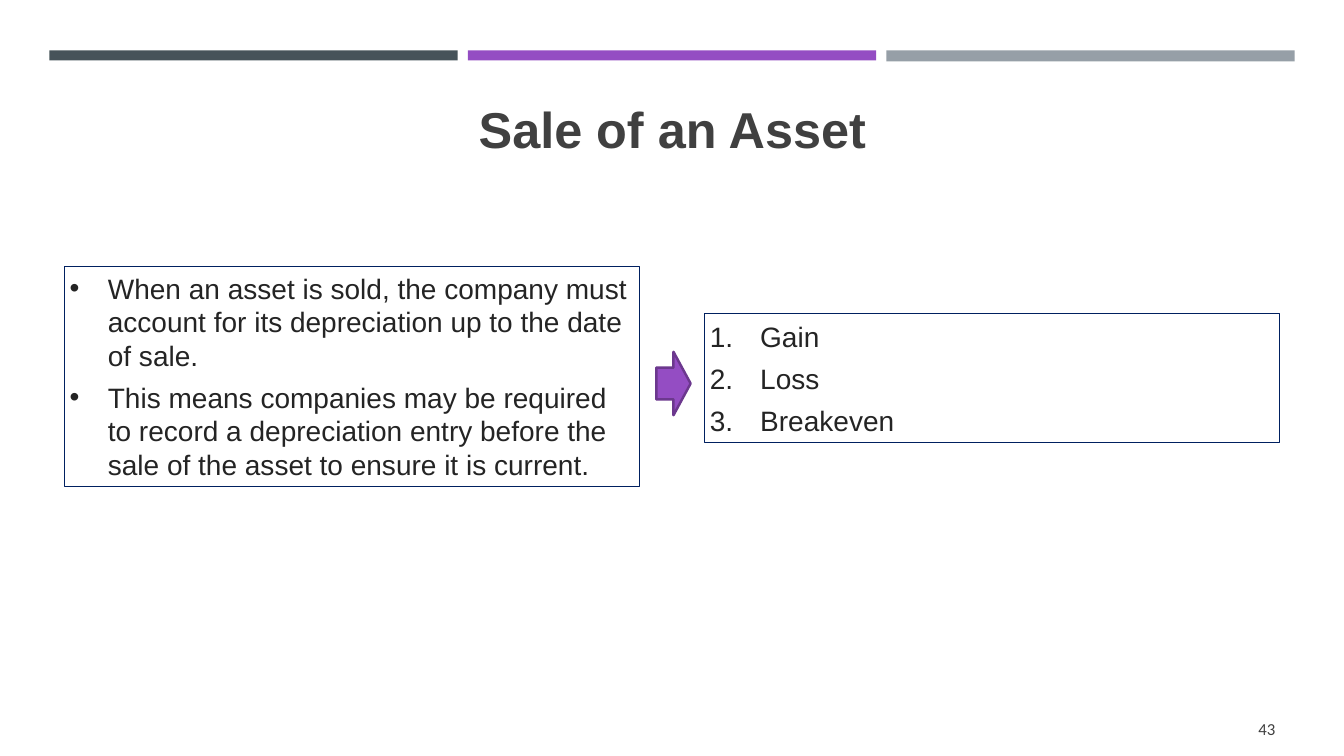
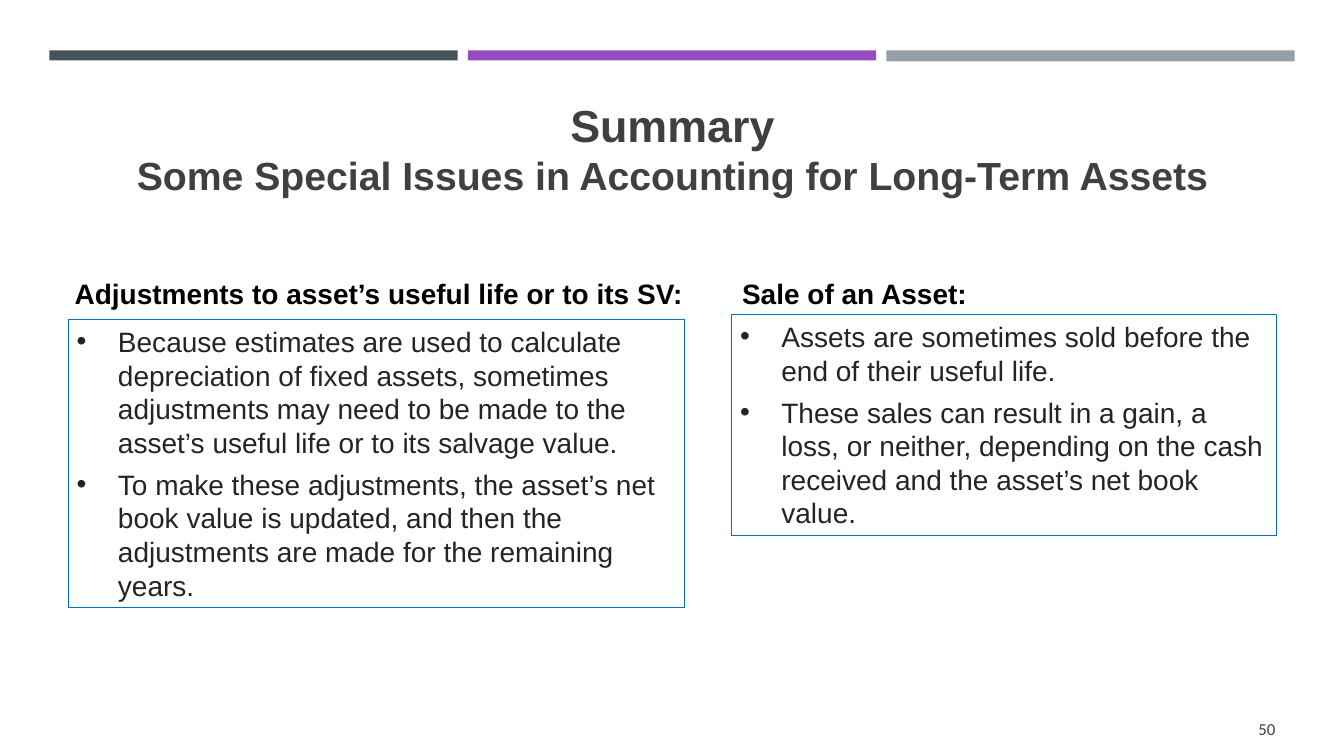
from lxml import etree
from pptx import Presentation
from pptx.dml.color import RGBColor
from pptx.enum import shapes, text
from pptx.oxml.ns import qn
from pptx.util import Pt

PX = 9144
SLATE = RGBColor(0x46, 0x53, 0x59)
PURPLE = RGBColor(0x94, 0x4D, 0xC3)
PLUM = RGBColor(0x6C, 0x38, 0x8E)
GREY = RGBColor(0x96, 0x9F, 0xA7)
TITLE_INK = RGBColor(0x40, 0x40, 0x40)
BODY_INK = RGBColor(0x24, 0x24, 0x24)
BLACK = RGBColor(0, 0, 0)
NAVY = RGBColor(0x00, 0x20, 0x60)
BLUE = RGBColor(0x00, 0x70, 0xC0)
BODY_SIZE = 20
INSET = 5
LINE_SPACING = 1.0
BULLET = ("buChar", "char", "•")
NUMBER = ("buAutoNum", "type", "arabicPeriod")


def emu(box):
    """Turn a box in px into EMU."""
    return [length * PX for length in box]


def add_block(page, box, kind=shapes.MSO_SHAPE.RECTANGLE, fill=None, line=None, weight=0.75):
    """Add a preset shape with the given fill and outline."""
    block = page.shapes.add_shape(kind, *emu(box))
    block.shadow.inherit = False
    if fill is None:
        block.fill.background()
    else:
        block.fill.solid()
        block.fill.fore_color.rgb = fill
    if line is None:
        block.line.fill.background()
    else:
        block.line.color.rgb = line
        block.line.width = Pt(weight)
    return block


def set_frame(shape, anchor=text.MSO_ANCHOR.TOP, wrap=True):
    """Give a shape's text frame the shared insets."""
    frame = shape.text_frame
    frame.margin_left = frame.margin_right = INSET * PX
    frame.margin_top = frame.margin_bottom = INSET * PX
    frame.vertical_anchor = anchor
    frame.word_wrap = wrap
    return frame


def format_runs(para, sizes, color, bold=False, font="Arial", align=text.PP_ALIGN.LEFT):
    """Format each run of a paragraph with its own size."""
    para.alignment = align
    para.line_spacing = LINE_SPACING
    for span, size in zip(para.runs, sizes):
        span.font.name = font
        span.font.size = Pt(size)
        span.font.bold = bold
        span.font.color.rgb = color


def add_label(page, box, words, sizes, color, anchor=text.MSO_ANCHOR.TOP, wrap=False, **style):
    """Add a text box holding one paragraph."""
    frame = set_frame(page.shapes.add_textbox(*emu(box)), anchor, wrap)
    para = frame.paragraphs[0]
    para.text = words
    format_runs(para, sizes, color, **style)


def add_list(page, box, items, line, marker, margin, hang, anchor=text.MSO_ANCHOR.TOP):
    """Add an outlined box with a bulleted or numbered list."""
    frame = set_frame(add_block(page, box, line=line), anchor)
    frame.text = "\n".join(items)
    tag, key, value = marker
    for para in frame.paragraphs:
        format_runs(para, [BODY_SIZE], BODY_INK)
        para.space_before = Pt(6)
        props = para._p.get_or_add_pPr()
        props.set("marL", str(margin * PX))
        props.set("indent", str(-hang * PX))
        etree.SubElement(props, qn("a:buFont")).set("typeface", "Arial")
        etree.SubElement(props, qn("a:" + tag)).set(key, value)


def add_page(deck, title, sizes, top, number):
    """Add a slide with the bands, title and page number."""
    page = deck.slides.add_slide(deck.slide_layouts[6])
    for column, (color, height) in enumerate([(SLATE, 10), (PURPLE, 10), (GREY, 11)]):
        add_block(page, (49 + column * 415, 50, 405, height), fill=color)
    middle = text.MSO_ANCHOR.MIDDLE
    add_label(page, (64, top, 1206, 130), title, sizes, TITLE_INK, middle, wrap=True,
              bold=True, align=text.PP_ALIGN.CENTER)
    add_label(page, (1240, 708, 30, 29), number, [12], TITLE_INK, middle,
              font="Calibri", align=text.PP_ALIGN.RIGHT)
    return page


def add_sale_slide(deck):
    """Show the sale of an asset and its three outcomes."""
    page = add_page(deck, "Sale of an Asset", [36], 62, "43")
    add_list(page, (64, 264, 570, 219), [
        "When an asset is sold, the company must account for its depreciation up to the date of sale.",
        "This means companies may be required to record a depreciation entry before the sale "
        "of the asset to ensure it is current.",
    ], NAVY, BULLET, 38, 38)
    add_list(page, (699, 311, 570, 128), ["Gain", "Loss", "Breakeven"], NAVY, NUMBER, 50, 50,
             text.MSO_ANCHOR.MIDDLE)
    add_block(page, (651, 349, 34, 63), shapes.MSO_SHAPE.RIGHT_ARROW, PURPLE, PLUM, 1.75)


def add_topic(page, heading_box, heading, list_box, items):
    """Add a bold heading above an outlined list."""
    add_list(page, list_box, items, BLUE, BULLET, 44, 41)
    add_label(page, heading_box, heading, [BODY_SIZE], BLACK, bold=True)


def add_summary_slide(deck):
    """Summarise the special issues in two topics."""
    title = "Summary\vSome Special Issues in Accounting for Long-Term Assets"
    page = add_page(deck, title, [32, 28], 82, "50")
    add_topic(page, (69, 269, 614, 43), "Adjustments to asset’s useful life or to its SV:",
              (68, 317, 611, 286), [
        "Because estimates are used to calculate depreciation of fixed assets, sometimes "
        "adjustments may need to be made to the asset’s useful life or to its salvage value.",
        "To make these adjustments, the asset’s net book value is updated, and then the "
        "adjustments are made for the remaining years.",
    ])
    add_topic(page, (731, 269, 234, 43), "Sale of an Asset:", (726, 312, 540, 219), [
        "Assets are sometimes sold before the end of their useful life.",
        "These sales can result in a gain, a loss, or neither, depending on the cash received "
        "and the asset’s net book value.",
    ])


def main():
    """Build and save the deck."""
    deck = Presentation()
    deck.slide_width, deck.slide_height = emu((1333, 750))
    add_sale_slide(deck)
    add_summary_slide(deck)
    deck.save("out.pptx")


if __name__ == "__main__":
    main()
